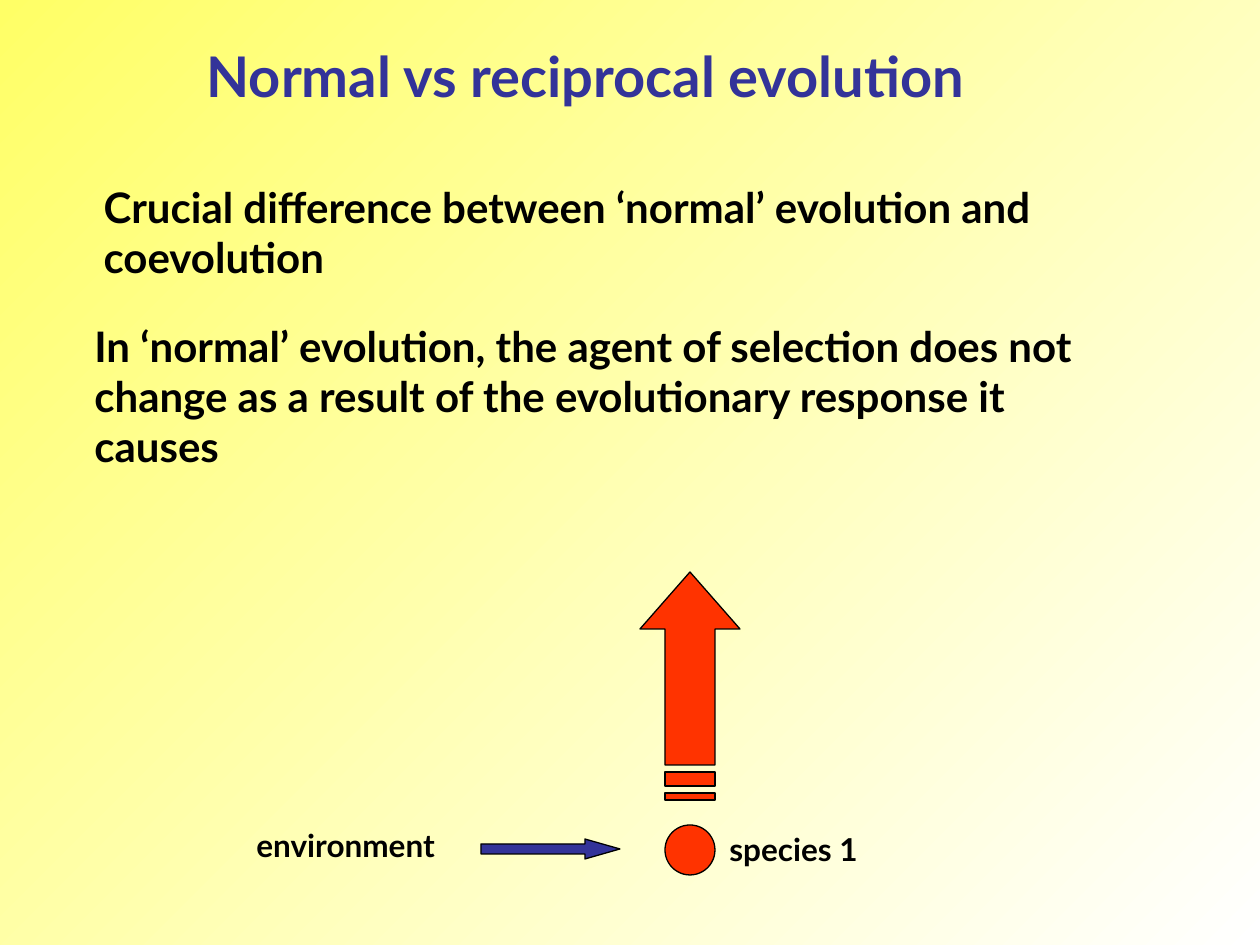
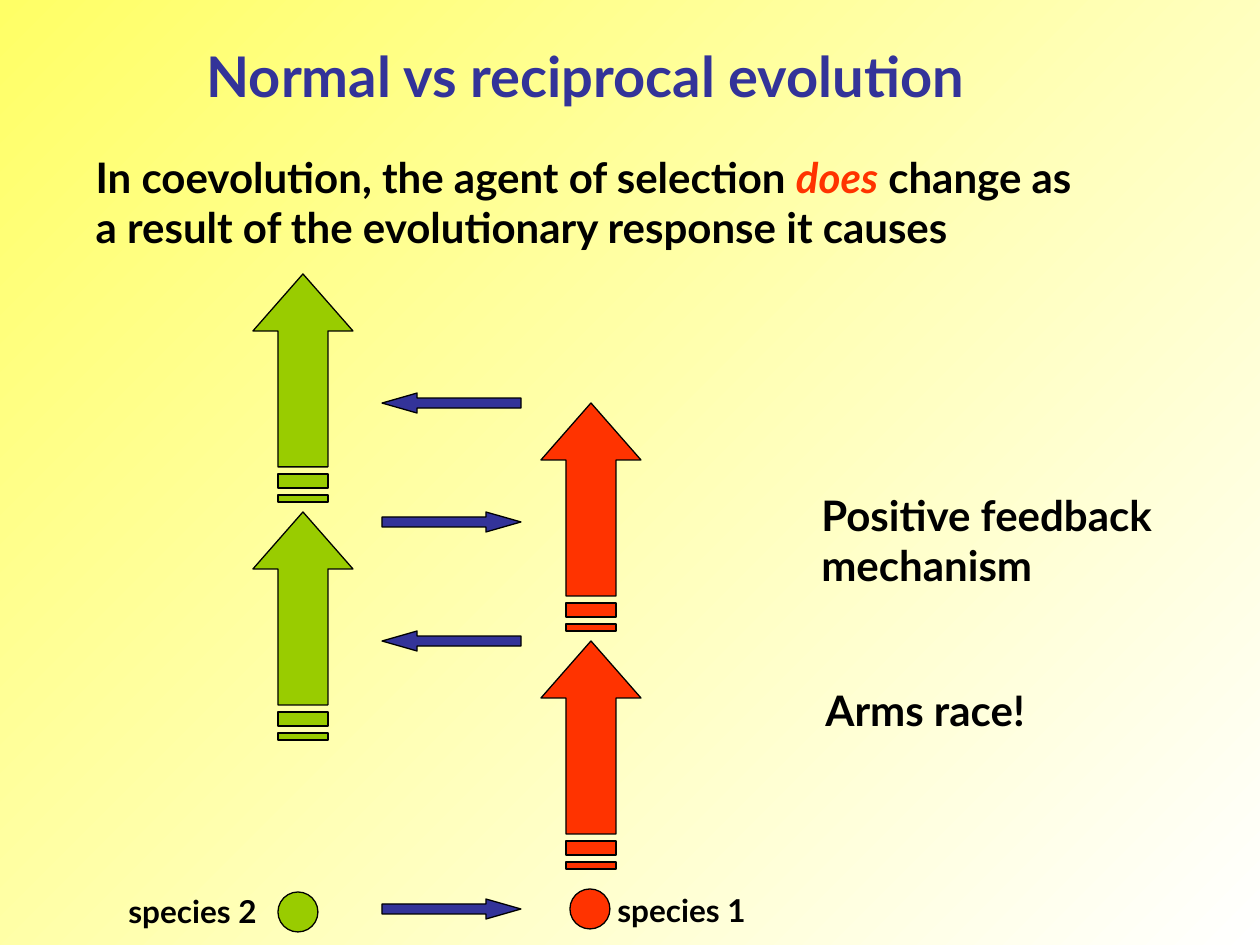
"""Build two slides that contrast normal evolution with coevolution."""
from lxml import etree
from pptx import Presentation
from pptx.dml.color import RGBColor
from pptx.enum.shapes import MSO_SHAPE
from pptx.enum.text import MSO_ANCHOR, MSO_AUTO_SIZE, PP_ALIGN
from pptx.oxml.ns import qn
from pptx.util import Pt

ARROW, DISC = MSO_SHAPE.RIGHT_ARROW, MSO_SHAPE.OVAL
TOP, LEFT, FIT = MSO_ANCHOR.TOP, PP_ALIGN.LEFT, MSO_AUTO_SIZE.SHAPE_TO_FIT_TEXT

PX = 914400 / 126
WIDE, HIGH = 1260, 945
FONT = "Lato"
NAVY = RGBColor(0x33, 0x33, 0x99)
RED = RGBColor(0xFF, 0x33, 0x00)
LIME = RGBColor(0x99, 0xCC, 0x00)
BLACK = RGBColor(0, 0, 0)
PALE = RGBColor(0xFF, 0xFF, 0x66)
WHITE = RGBColor(0xFF, 0xFF, 0xFF)

TITLE = "Normal vs reciprocal evolution"
TITLE_BOX = (194, 35, 887, 81)
BIG, MID, SMALL = 32, 24, 18
SHAFT = (139, 20)
EAST, WEST = 0, 180

GROWTH = (
    ((0, 57), (25, 57), (25, 193), (75, 193), (75, 57), (100, 57), (50, 0)),
    ((25, 200), (75, 200), (75, 214), (25, 214)),
    ((25, 221), (75, 221), (75, 228), (25, 228)),
)

SLIDES = [
    {
        "body": ((91, 175, 1072, 113),
                 ["Crucial difference between ‘normal’ evolution and", "coevolution"]),
        "notes": [
            ((82, 314, 1133, 164), MID,
             ["In ‘normal’ evolution, the agent of selection does not",
              "change as a result of the evolutionary response it", "causes"]),
            ((717, 824, 165, 50), SMALL, ["species 1"]),
            ((244, 820, 231, 50), SMALL, ["environment"]),
        ],
        "growth": [(640, 572, RED)],
        "forces": [(481, 839, EAST)],
        "discs": [(665, 825, 50, RED)],
    },
    {
        "body": ((83, 145, 1144, 113),
                 [("In coevolution, the agent of selection ", "*does", " change as"),
                  "a result of the evolutionary response it causes"]),
        "notes": [
            ((809, 483, 404, 113), MID, ["Positive feedback", "mechanism"]),
            ((813, 678, 248, 63), MID, ["Arms race!"]),
            ((605, 885, 165, 50), SMALL, ["species 1"]),
            ((116, 886, 165, 50), SMALL, ["species 2"]),
        ],
        "growth": [(left, top + 238 * row, tint)
                   for left, top, tint in ((253, 274, LIME), (541, 403, RED))
                   for row in range(2)],
        "forces": [(382, 393, WEST), (382, 512, EAST),
                   (382, 631, WEST), (382, 899, EAST)],
        "discs": [(570, 889, 40, RED), (278, 892, 40, LIME)],
    },
]


def emu(*vals):
    return [round(val * PX) for val in vals]


def write(shape, box, lines, size, tint=BLACK):
    shape.left, shape.top, shape.width, shape.height = emu(*box)
    frame = shape.text_frame
    frame.word_wrap = True
    frame.auto_size = FIT
    frame.vertical_anchor = TOP
    for num, line in enumerate(lines):
        par = frame.add_paragraph() if num else frame.paragraphs[0]
        par.alignment = LEFT
        par.space_before = Pt(0)
        props = par._p.get_or_add_pPr()
        props.set("marL", "0")
        props.set("indent", "0")
        etree.SubElement(props, qn("a:buNone"))
        for part in (line,) if isinstance(line, str) else line:
            stress = part.startswith("*")
            run = par.add_run()
            run.text = part.lstrip("*")
            font = run.font
            font.name, font.size, font.bold = FONT, Pt(size), True
            font.italic = stress
            font.color.rgb = RED if stress else tint


def paint(shape, tint):
    shape.shadow.inherit = False
    shape.fill.solid()
    shape.fill.fore_color.rgb = tint
    shape.line.color.rgb = BLACK
    shape.line.width = Pt(0.75)


def grow(shapes, left, top, tint):
    pen = shapes.build_freeform(*GROWTH[0][0], scale=PX)
    for num, ring in enumerate(GROWTH):
        if num:
            pen.move_to(*ring[0])
        pen.add_line_segments(ring[1:], close=True)
    paint(pen.convert_to_shape(*emu(left, top)), tint)


def push(shapes, left, top, turn):
    shape = shapes.add_shape(ARROW, *emu(left, top, *SHAFT))
    shape.adjustments[0], shape.adjustments[1] = 0.5, 1.75
    shape.rotation = turn
    paint(shape, NAVY)


def build(deck, page):
    slide = deck.slides.add_slide(deck.slide_layouts[1])
    shapes = slide.shapes
    write(shapes.title, TITLE_BOX, [TITLE], BIG, NAVY)
    write(slide.placeholders[1], *page["body"], MID)
    for spot in page["forces"]:
        push(shapes, *spot)
    for spot in page["growth"]:
        grow(shapes, *spot)
    for left, top, size, tint in page["discs"]:
        paint(shapes.add_shape(DISC, *emu(left, top, size, size)), tint)
    for box, size, lines in page["notes"]:
        write(shapes.add_textbox(*emu(*box)), box, lines, size)


def main():
    deck = Presentation()
    deck.slide_width, deck.slide_height = emu(WIDE, HIGH)
    fill = deck.slide_master.background.fill
    fill.gradient()
    fill.gradient_angle = 315
    for stop, tint in zip(fill.gradient_stops, (PALE, WHITE)):
        stop.color.rgb = tint
    for page in SLIDES:
        build(deck, page)
    deck.save("out.pptx")


if __name__ == "__main__":
    main()
